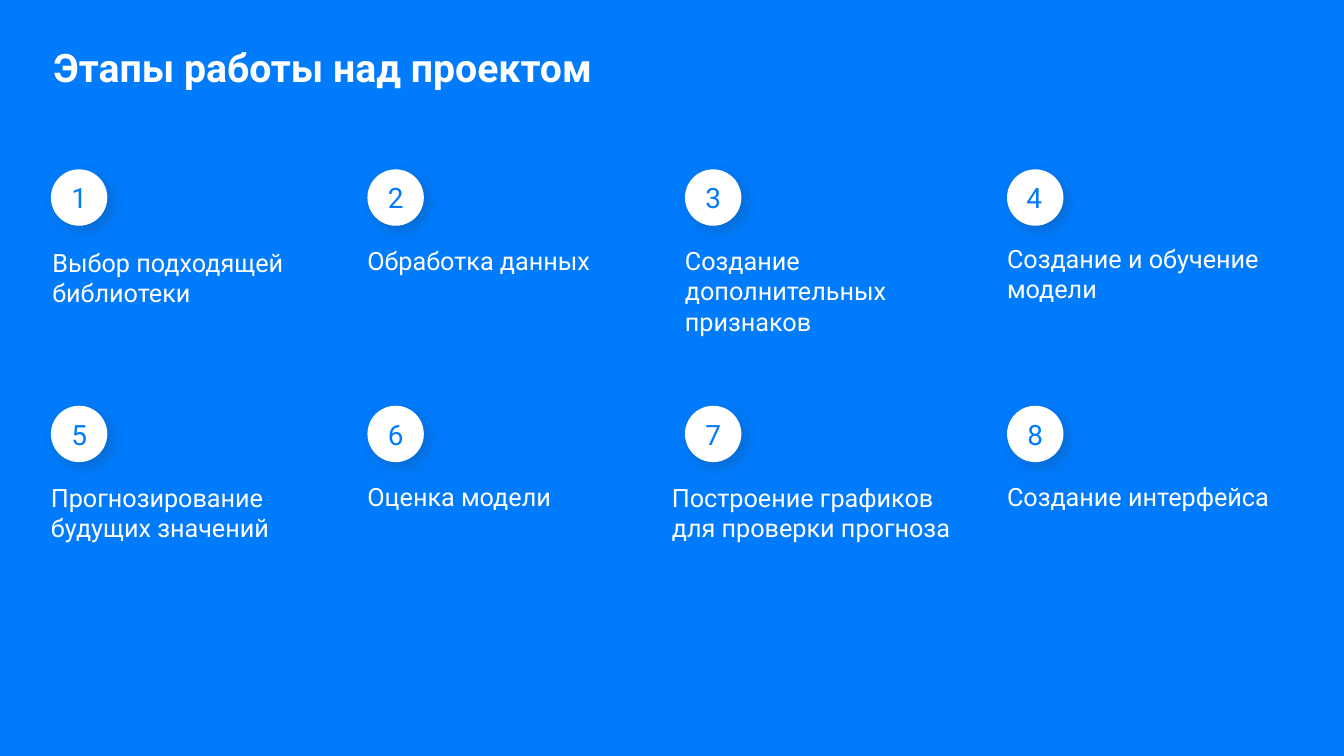
import dataclasses

import lxml.etree
import pptx
import pptx.dml.color
import pptx.enum.shapes
import pptx.enum.text
import pptx.oxml.ns
import pptx.util

Pt = pptx.util.Pt
ALIGN = pptx.enum.text.PP_ALIGN
ANCHOR = pptx.enum.text.MSO_ANCHOR
FIT = pptx.enum.text.MSO_AUTO_SIZE


@dataclasses.dataclass(frozen=True)
class Theme:
    font: str = "Roboto"
    blue: str = "007BFC"
    white: str = "FFFFFF"
    shadow: str = "2C2C2C"
    title_size: int = 56
    number_size: int = 40
    label_size: int = 36


THEME = Theme()
LINE_HEIGHT = 43.7
ROW_TOPS = (241.9, 579.6)
COLUMNS = ((72.7, 421.9), (524.9, 411.8), (978.5, 417.6), (1438.6, 411.8))  # left, label width

# Label, number of lines, label nudge (x, y), number nudge x
STEPS = (
    ("Выбор подходящей библиотеки", 2, (2.2, 2.9), 0),
    ("Обработка данных", 2, (0, 0), 0),
    ("Создание дополнительных признаков", 3, (0, 0), 0),
    ("Создание и обучение модели", 2, (0, -3.6), -1.4),
    ("Прогнозирование будущих значений", 2, (0, 0), 0),
    ("Оценка модели", 1, (0, 0), 0),
    ("Построение графиков для проверки прогноза", 2, (-18.7, 0), 0),
    ("Создание интерфейса", 1, (0, 0), 0),
)


def colour(value):
    return pptx.dml.color.RGBColor.from_string(value)


def place(shape, left, top, width, height):
    shape.left, shape.top = Pt(left), Pt(top)
    shape.width, shape.height = Pt(width), Pt(height)


def write(shape, text, *, size, fill, bold=False, align=ALIGN.LEFT,
          anchor=ANCHOR.TOP, inset=0, fit=FIT.SHAPE_TO_FIT_TEXT):
    frame = shape.text_frame
    frame.word_wrap = True
    frame.auto_size = fit
    frame.vertical_anchor = anchor
    frame.margin_left = frame.margin_right = Pt(inset)
    frame.margin_top = frame.margin_bottom = Pt(inset)
    para = frame.paragraphs[0]
    para.alignment = align
    span = para.add_run()
    span.text = text
    span.font.name = THEME.font
    span.font.size = Pt(size)
    span.font.bold = bold
    span.font.color.rgb = colour(fill)


def add_text(page, box, text, **style):
    shape = page.shapes.add_textbox(*(Pt(length) for length in box))
    write(shape, text, **style)


def add_soft_shadow(shape):
    shape.shadow.inherit = False
    qn = pptx.oxml.ns.qn
    effects = shape.element.spPr.find(qn("a:effectLst"))
    shadow = lxml.etree.SubElement(
        effects, qn("a:outerShdw"), blurRad=str(Pt(20)), dist=str(Pt(10)),
        dir=str(45 * 60000), algn="ctr", rotWithShape="0")
    tint = lxml.etree.SubElement(shadow, qn("a:srgbClr"), val=THEME.shadow)
    lxml.etree.SubElement(tint, qn("a:alpha"), val="20000")


def add_title(page, box):
    title = page.shapes.title
    place(title, *box)
    write(title, "Этапы работы над проектом", size=THEME.title_size,
          fill=THEME.white, bold=True, inset=4.3, fit=FIT.NONE)


def add_step(page, left, top, width, number, step):
    """Draw a numbered circle with its label below."""
    label, lines, (label_x, label_y), number_x = step
    circle = page.shapes.add_shape(
        pptx.enum.shapes.MSO_SHAPE.OVAL, Pt(left), Pt(top), Pt(80.6), Pt(80.6))
    circle.fill.solid()
    circle.fill.fore_color.rgb = colour(THEME.white)
    circle.line.fill.background()
    add_soft_shadow(circle)
    add_text(page, (left + 11.9 + number_x, top + 15.4, 56.9, 49.7), str(number),
             size=THEME.number_size, fill=THEME.blue,
             align=ALIGN.CENTER, anchor=ANCHOR.MIDDLE)
    add_text(page, (left + label_x, top + 108.7 + label_y, width, lines * LINE_HEIGHT),
             label, size=THEME.label_size, fill=THEME.white)


def add_steps(page):
    for index, step in enumerate(STEPS):
        row, column = divmod(index, len(COLUMNS))
        left, width = COLUMNS[column]
        add_step(page, left, ROW_TOPS[row], width, index + 1, step)


def main():
    deck = pptx.Presentation()
    deck.slide_width, deck.slide_height = Pt(1920), Pt(1080)
    page = deck.slides.add_slide(deck.slide_layouts.get_by_name("Title Only"))
    page.background.fill.solid()
    page.background.fill.fore_color.rgb = colour(THEME.blue)
    add_title(page, (72, 56.9, 1328.4, 180))
    add_steps(page)
    deck.save("out.pptx")


if __name__ == "__main__":
    main()
